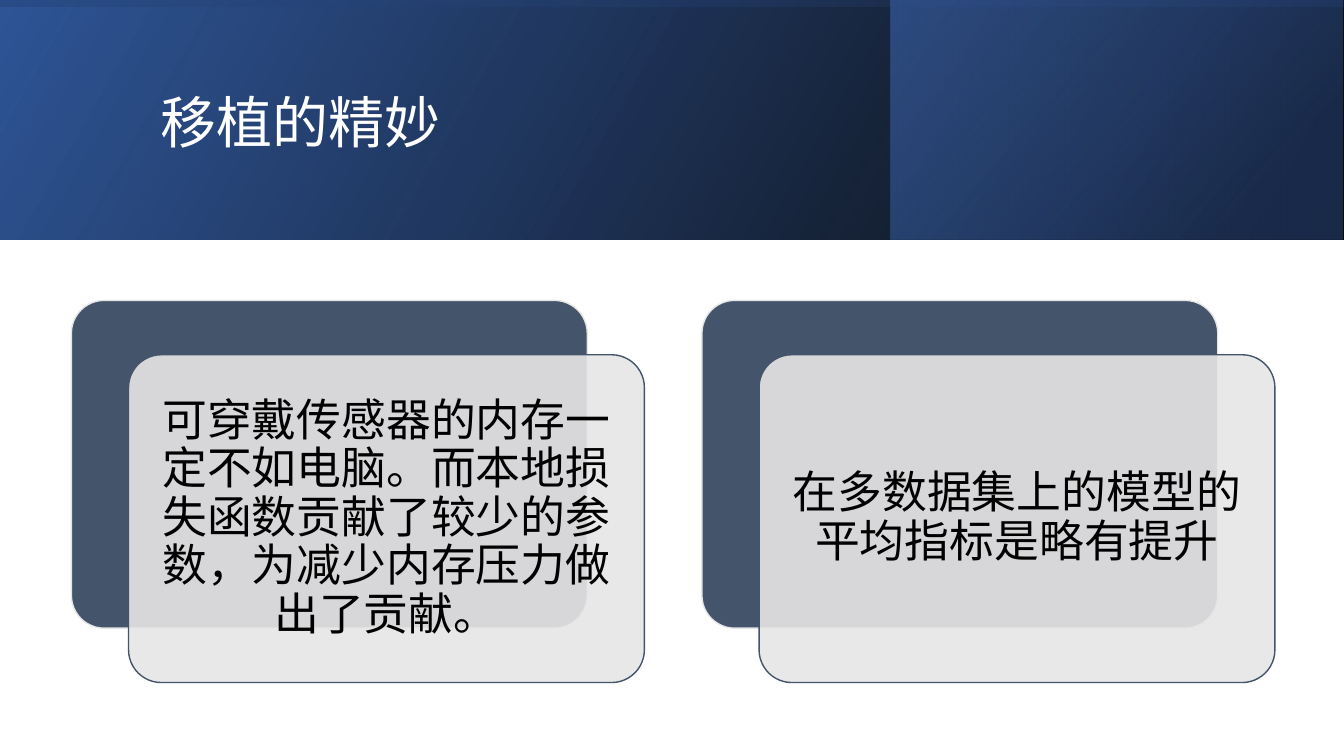
from dataclasses import dataclass

import lxml.etree
import pptx
import pptx.dml.color
import pptx.enum.shapes
import pptx.enum.text
import pptx.oxml.ns
import pptx.util

Cm = pptx.util.Cm
SHAPE = pptx.enum.shapes.MSO_SHAPE
ALIGN = pptx.enum.text.PP_ALIGN
qn = pptx.oxml.ns.qn


@dataclass(frozen=True)
class Theme:
    font: str = "Noto Sans CJK SC"
    title_size: int = 40
    card_size: int = 32
    white: str = "FFFFFF"
    black: str = "000000"
    slate: str = "44546A"
    pale: str = "E7E6E6"
    blue: str = "2F5597"
    navy: str = "203864"
    bright: str = "4472C4"


THEME = Theme()


def rgb(value):
    return pptx.dml.color.RGBColor.from_string(value)


def add_box(s, kind, x, y, w, h):
    sp = s.shapes.add_shape(kind, Cm(x), Cm(y), Cm(w), Cm(h))
    sp.shadow.inherit = False
    return sp


def set_alpha(color, percent):
    lxml.etree.SubElement(color, qn("a:alpha"), val=str(percent * 1000))


def add_gradient(s, x, y, w, h, angle, stops, rotation=0):
    sp = add_box(s, SHAPE.RECTANGLE, x, y, w, h)
    sp.line.fill.background()
    sp.rotation = rotation
    props = sp._element.spPr
    props.xfrm.set("flipH", "1")
    grad = lxml.etree.Element(qn("a:gradFill"), rotWithShape="1")
    stop_list = lxml.etree.SubElement(grad, qn("a:gsLst"))
    for position, value, opacity in stops:
        stop = lxml.etree.SubElement(stop_list, qn("a:gs"), pos=str(position * 1000))
        color = lxml.etree.SubElement(stop, qn("a:srgbClr"), val=value)
        set_alpha(color, opacity)
    lxml.etree.SubElement(grad, qn("a:lin"), ang=str(angle * 60000), scaled="0")
    props.find(qn("a:prstGeom")).addnext(grad)


def add_text(s, x, y, w, h, text, size, color, align, inset):
    tf = s.shapes.add_textbox(Cm(x), Cm(y), Cm(w), Cm(h)).text_frame
    frame_format = {
        "word_wrap": True,
        "vertical_anchor": pptx.enum.text.MSO_ANCHOR.MIDDLE,
        "margin_left": Cm(inset),
        "margin_right": Cm(inset),
        "margin_top": Cm(inset),
        "margin_bottom": Cm(inset),
    }
    for name, value in frame_format.items():
        setattr(tf, name, value)
    p = tf.paragraphs[0]
    for name, value in {"alignment": align, "line_spacing": 0.9}.items():
        setattr(p, name, value)
    r = p.add_run()
    r.text = text
    for name, value in {"name": THEME.font, "size": pptx.util.Pt(size)}.items():
        setattr(r.font, name, value)
    r.font.color.rgb = rgb(color)
    latin = r._r.rPr.find(qn("a:latin"))
    latin.addnext(latin.makeelement(qn("a:ea"), {"typeface": THEME.font}))


def add_header(s, x, y, w, h, title):
    side = 11.38
    add_gradient(s, x, y, w, h, 330, [(0, THEME.black, 96), (100, THEME.blue, 100)])
    add_gradient(s, x + w - side - 0.04, y, side, h, 320,
                 [(19, THEME.navy, 68), (100, THEME.bright, 48)])
    add_gradient(s, x + (w - h) / 2, y + (h - w) / 2, h, w, 350,
                 [(23, THEME.blue, 16), (99, THEME.black, 45)], rotation=270)
    add_text(s, x + 3.84, y + 0.97, 27, 4.37, title,
             THEME.title_size, THEME.white, ALIGN.LEFT, 0.2)


def add_card(s, x, y, w, h, text):
    dx, dy, pad = 1.44, 1.37, 0.24
    panel_w, panel_h = w - dx, h - dy
    for left, top, fill, line, opacity in (
        (x, y, THEME.slate, THEME.pale, 100),
        (x + dx, y + dy, THEME.pale, THEME.slate, 90),
    ):
        sp = add_box(s, SHAPE.ROUNDED_RECTANGLE, left, top, panel_w, panel_h)
        sp.adjustments[0] = 0.1
        sp.fill.solid()
        sp.fill.fore_color.rgb = rgb(fill)
        set_alpha(sp._element.spPr.find(qn("a:solidFill"))[0], opacity)
        sp.line.color.rgb = rgb(line)
        sp.line.width = pptx.util.Pt(1)
    add_text(s, x + dx + pad, y + dy + pad, panel_w - 2 * pad, panel_h - 2 * pad,
             text, THEME.card_size, THEME.black, ALIGN.CENTER, 0.33)


def add_cards(s, x, y, w, h, texts):
    gap = 1.45
    card_w = (w - gap * (len(texts) - 1)) / len(texts)
    for i, text in enumerate(texts):
        add_card(s, x + i * (card_w + gap), y, card_w, h, text)


def main():
    prs = pptx.Presentation()
    width = 33.87
    prs.slide_width, prs.slide_height = Cm(width), Cm(19.05)
    s = prs.slides.add_slide(prs.slide_layouts[6])
    add_header(s, 0, 0, width, 6.03, "移植的精妙")
    add_cards(s, 1.8, 7.57, 30.33, 9.63, [
        "可穿戴传感器的内存一定不如电脑。而本地损失函数贡献了较少的参数，为减少内存压力做出了贡献。",
        "在多数据集上的模型的平均指标是略有提升",
    ])
    prs.save("out.pptx")


if __name__ == "__main__":
    main()
